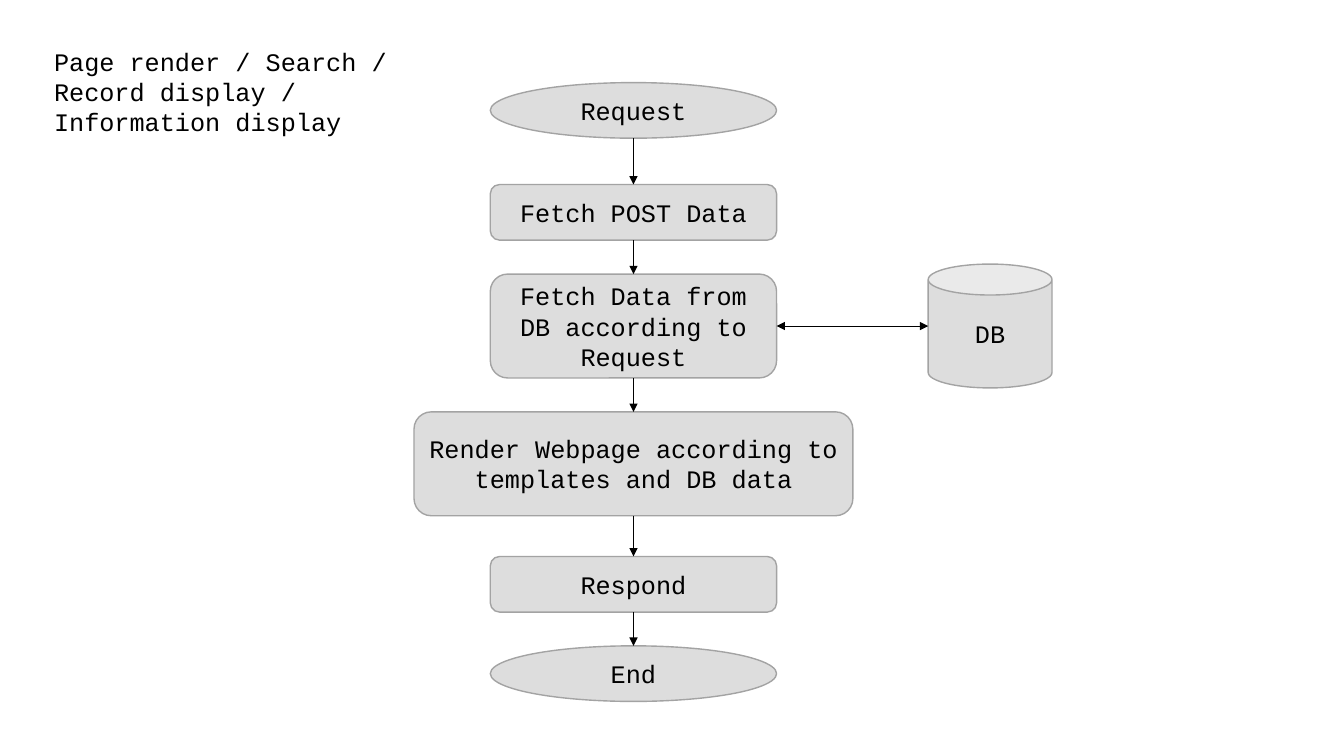
from dataclasses import dataclass
from itertools import pairwise

from lxml import etree
from pptx import Presentation
from pptx.dml.color import RGBColor
from pptx.enum import shapes, text
from pptx.oxml import ns
from pptx.util import Pt


@dataclass(frozen=True)
class Theme:
    font: str = "Courier New"
    size: float = 18
    ink: RGBColor = RGBColor(0, 0, 0)
    fill: RGBColor = RGBColor(0xDD, 0xDD, 0xDD)
    edge: RGBColor = RGBColor(0xA3, 0xA3, 0xA3)
    border: float = 1
    wire: float = 0.5
    inset: float = 6


class Chart:
    """Draws flowchart parts on one slide; lengths are in points."""

    def __init__(self, slide, theme):
        self.slide, self.theme = slide, theme

    def letter(self, frame, words, align):
        frame.word_wrap = True
        para = frame.paragraphs[0]
        para.text, para.alignment = words, align
        font = para.font
        font.name, font.size = self.theme.font, Pt(self.theme.size)
        font.color.rgb = self.theme.ink

    def label(self, words, *box):
        frame = self.slide.shapes.add_textbox(*map(Pt, box)).text_frame
        self.letter(frame, words, text.PP_ALIGN.LEFT)
        frame.auto_size = text.MSO_AUTO_SIZE.SHAPE_TO_FIT_TEXT

    def node(self, kind, words, *box):
        shape = self.slide.shapes.add_shape(kind, *map(Pt, box))
        shape.shadow.inherit = False
        shape.fill.solid()
        shape.fill.fore_color.rgb = self.theme.fill
        shape.line.color.rgb = self.theme.edge
        shape.line.width = Pt(self.theme.border)
        frame = shape.text_frame
        frame.margin_left = frame.margin_right = Pt(self.theme.inset)
        frame.vertical_anchor = text.MSO_ANCHOR.MIDDLE
        self.letter(frame, words, text.PP_ALIGN.CENTER)

    def arrow(self, start, end, both=False):
        wire = self.slide.shapes.add_connector(
            shapes.MSO_CONNECTOR.STRAIGHT, *map(Pt, (*start, *end)))
        wire.line.color.rgb = self.theme.ink
        wire.line.width = Pt(self.theme.wire)
        props = wire._element.spPr
        line = props.find(ns.qn("a:ln"))
        for tag in ("a:headEnd", "a:tailEnd") if both else ("a:tailEnd",):
            etree.SubElement(line, ns.qn(tag), type="triangle")
        etree.SubElement(props, ns.qn("a:effectLst"))


# Slide
deck = Presentation()
deck.slide_width, deck.slide_height = Pt(960), Pt(540)
chart = Chart(deck.slides.add_slide(deck.slide_layouts[6]), Theme())

# Heading
chart.label("Page render / Search / Record display / Information display",
            31.5, 29.5, 265, 72.5)

# Main flow: kind, words, top, width, height
OVAL, BOX = shapes.MSO_SHAPE.OVAL, shapes.MSO_SHAPE.ROUNDED_RECTANGLE
MID, WIDE, SLIM, LOW, TALL = 452.5, 313.5, 204.5, 39.7, 74.2
steps = [
    (OVAL, "Request", 59, SLIM, LOW),
    (BOX, "Fetch POST Data", 131.8, SLIM, LOW),
    (BOX, "Fetch Data from DB according to Request", 195.8, SLIM, TALL),
    (BOX, "Render Webpage according to templates and DB data",
     294.2, WIDE, TALL),
    (BOX, "Respond", 397.5, SLIM, LOW),
    (OVAL, "End", 461.3, SLIM, LOW),
]
for kind, words, top, width, height in steps:
    chart.node(kind, words, MID - width / 2, top, width, height)

# Arrows between neighbouring steps
for (_, _, top, _, height), (_, _, below, _, _) in pairwise(steps):
    chart.arrow((MID, top + height), (MID, below))

# Database beside the fetch step
_, _, top, width, height = steps[2]
level, left, side = top + height / 2, 663, 88.5
chart.node(shapes.MSO_SHAPE.CAN, "DB", left, level - side / 2, side, side)
chart.arrow((MID + width / 2, level), (left, level), both=True)

deck.save("out.pptx")
